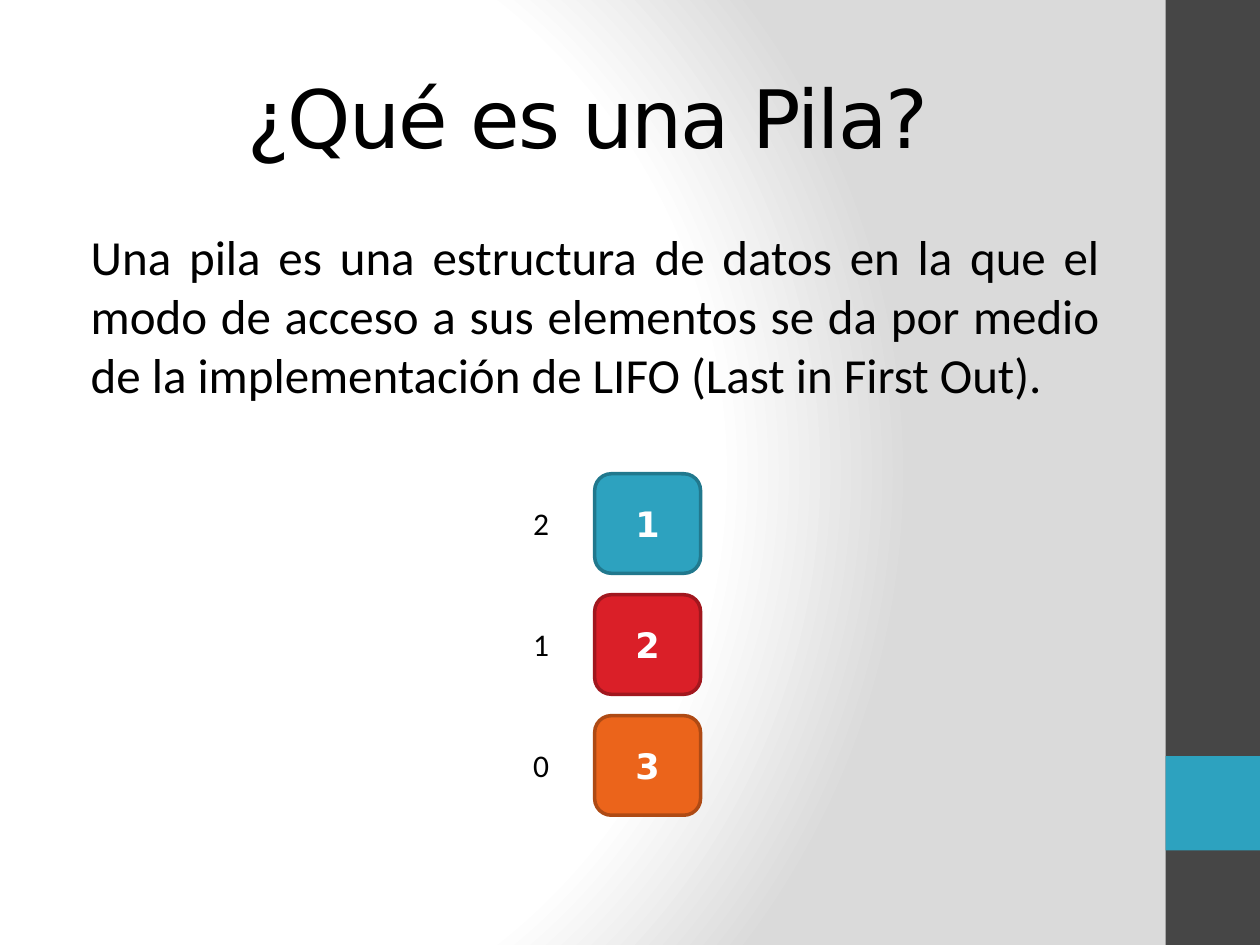
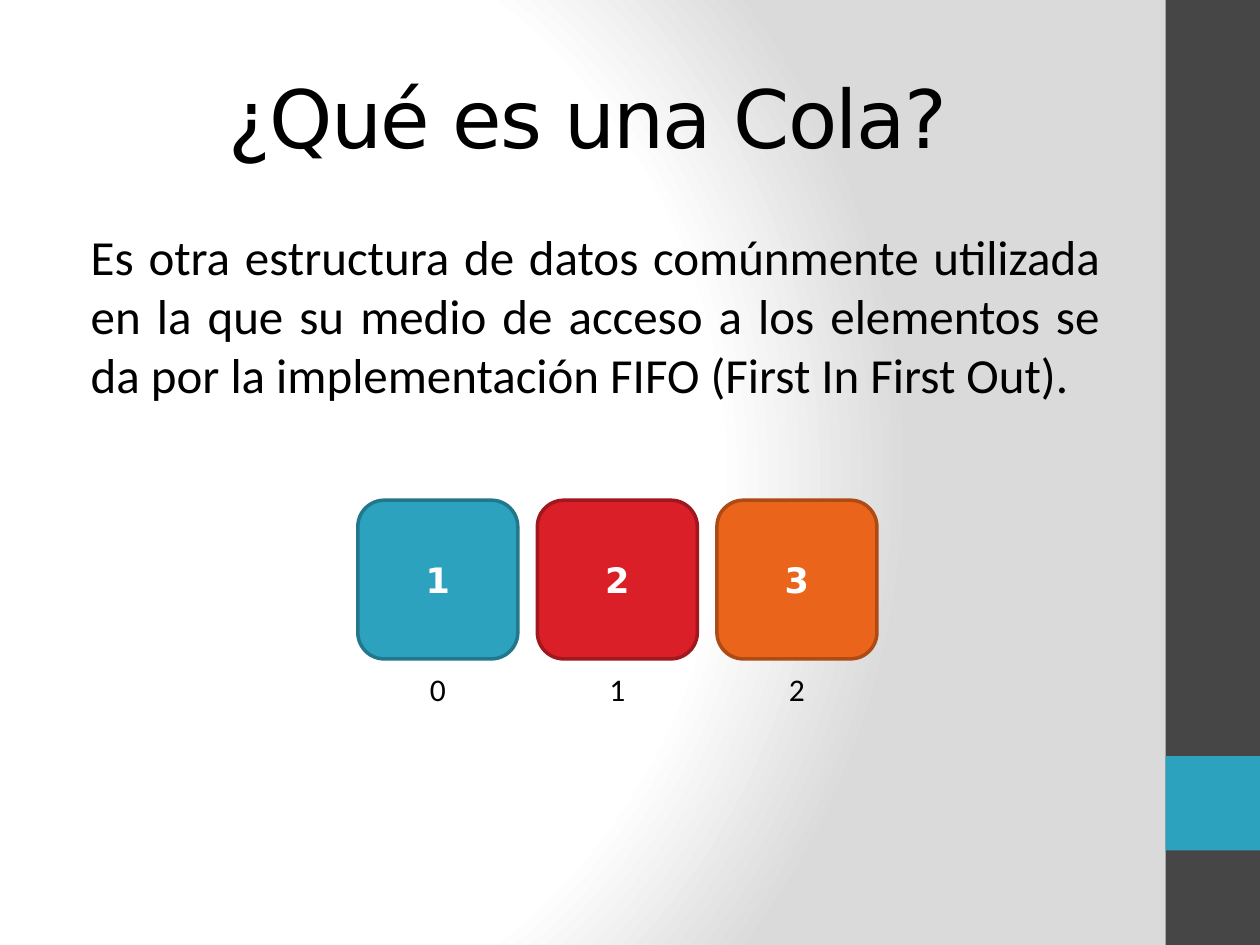
"""Two slides that introduce the stack and the queue."""
from pptx import Presentation
from pptx import util as u
from pptx.dml import color
from pptx.enum import shapes, text
from pptx.oxml import parse_xml
from pptx.oxml.ns import nsdecls, qn

HEADING_FONT, BODY_FONT = "DejaVu Sans", "Calibri"
BLACK, WHITE, SHADE = "000000", "FFFFFF", "DADADA"
DARK, TEAL = "464646", "2DA2BF"
# Value, fill and outline of each element.
ELEMENTS = [("1", TEAL, "21788D"), ("2", "DA1F28", "A1171E"), ("3", "EB641B", "AE4A14")]
TITLE_BOX = (0.5, 0.3, 8.33, 1.25)
BODY_BOX = (0.5, 1.75, 8.33, 0.98)
BANDS = [((9.25, 0, 0.75, 7.5), DARK), ((9.25, 6, 0.75, 0.75), TEAL)]
LABEL_W, LABEL_H = 0.87, 0.4


def rgb(hex_string):
    """Turn a hex string into a colour."""
    return color.RGBColor.from_string(hex_string)


def inches(box):
    """Turn left, top, width and height into lengths."""
    return [u.Inches(length) for length in box]


def write(frame, content, font, size, ink, align=text.PP_ALIGN.CENTER, bold=False):
    """Put one formatted paragraph in a text frame and return it."""
    frame.word_wrap = True
    frame.text = content
    paragraph = frame.paragraphs[0]
    paragraph.alignment = align
    style = paragraph.runs[0].font
    style.name, style.size, style.bold = font, u.Pt(size), bold
    style.color.rgb = rgb(ink)
    return paragraph


def add_block(slide, kind, box, fill, outline=None):
    """Add a filled shape, outlined if a line colour is given."""
    block = slide.shapes.add_shape(kind, *inches(box))
    block.shadow.inherit = False
    block.fill.solid()
    block.fill.fore_color.rgb = rgb(fill)
    if outline:
        block.line.color.rgb = rgb(outline)
        block.line.width = u.Pt(2)
    else:
        block.line.fill.background()
    return block


def style_master(master, slide):
    """Give the master its gradient background and its side bands."""
    master.background.fill.gradient()
    gradient = master.element.find(".//" + qn("a:gradFill"))
    stops = "".join(
        f'<a:gs pos="{percent * 1000}"><a:srgbClr val="{tint}"/></a:gs>'
        for percent, tint in [(0, WHITE), (75, WHITE), (100, SHADE)])
    gradient.getparent().replace(gradient, parse_xml(
        f'<a:gradFill rotWithShape="1" {nsdecls("a")}><a:gsLst>{stops}</a:gsLst>'
        '<a:path path="circle"><a:fillToRect l="20000" t="50000" r="100000" b="50000"/>'
        '</a:path></a:gradFill>'))
    # Bands are made on a slide, then moved behind the master's placeholders.
    for position, (box, fill) in enumerate(BANDS, start=2):
        band = add_block(slide, shapes.MSO_SHAPE.RECTANGLE, box, fill)
        master.shapes.element.insert(position, band.element)


def place(placeholder, box):
    """Move a placeholder to a box and return its text frame."""
    placeholder.left, placeholder.top, placeholder.width, placeholder.height = inches(box)
    placeholder.text_frame.auto_size = text.MSO_AUTO_SIZE.NONE
    return placeholder.text_frame


def fill_texts(slide, question, definition):
    """Write the title and the justified definition below it."""
    heading = place(slide.shapes.title, TITLE_BOX)
    heading.vertical_anchor = text.MSO_ANCHOR.MIDDLE
    title = write(heading, question, HEADING_FONT, 46, BLACK)
    title.runs[0].font._element.set("spc", "-100")

    body = place(slide.placeholders[1], BODY_BOX)
    paragraph = write(body, definition, BODY_FONT, 28, BLACK, text.PP_ALIGN.JUSTIFY)
    properties = paragraph._p.get_or_add_pPr()
    properties.set("marL", str(u.Inches(0.12)))
    properties.set("indent", "0")
    properties.append(parse_xml(f'<a:buNone {nsdecls("a")}/>'))


def add_element(slide, box, element):
    """Draw one element of the structure with its value."""
    value, fill, outline = element
    tile = add_block(slide, shapes.MSO_SHAPE.ROUNDED_RECTANGLE, box, fill, outline)
    tile.text_frame.vertical_anchor = text.MSO_ANCHOR.MIDDLE
    write(tile.text_frame, value, HEADING_FONT, 20, WHITE, bold=True)


def add_index(slide, left, top, index):
    """Write the index of one element."""
    label = slide.shapes.add_textbox(*inches((left, top, LABEL_W, LABEL_H)))
    write(label.text_frame, str(index), BODY_FONT, 18, BLACK)
    label.text_frame.auto_size = text.MSO_AUTO_SIZE.SHAPE_TO_FIT_TEXT


def draw_stack(slide, box):
    """Pile the elements up in a box, with falling indices on the left."""
    left, top, width, height = box
    tile_h = 0.79
    pitch = (height - tile_h) / (len(ELEMENTS) - 1)
    for row, element in enumerate(ELEMENTS):
        tile_top = top + row * pitch
        add_element(slide, (left, tile_top, width, tile_h), element)
        add_index(slide, left - LABEL_W + 0.01, tile_top + (tile_h - LABEL_H) / 2,
                  len(ELEMENTS) - 1 - row)


def draw_queue(slide, box):
    """Line the elements up in a box, with rising indices below."""
    left, top, width, height = box
    tile_w = 1.27
    pitch = (width - tile_w) / (len(ELEMENTS) - 1)
    for index, element in enumerate(ELEMENTS):
        tile_left = left + index * pitch
        add_element(slide, (tile_left, top, tile_w, height), element)
        add_index(slide, tile_left + (tile_w - LABEL_W) / 2, top + height + 0.04, index)


SLIDES = [
    ("¿Qué es una Pila?",
     "Una pila es una estructura de datos en la que el modo de acceso a sus elementos "
     "se da por medio de la implementación de LIFO (Last in First Out).",
     draw_stack, (4.72, 3.76, 0.84, 2.71)),
    ("¿Qué es una Cola?",
     "Es otra estructura de datos comúnmente utilizada en la que su medio de acceso a los "
     "elementos se da por la implementación FIFO (First In First Out).",
     draw_queue, (2.84, 3.97, 4.12, 1.26)),
]


def main():
    """Build both slides and save them."""
    prs = Presentation()
    prs.slide_width, prs.slide_height = u.Inches(10), u.Inches(7.5)
    for number, (question, definition, draw, box) in enumerate(SLIDES):
        slide = prs.slides.add_slide(prs.slide_layouts[1])
        if number == 0:
            style_master(prs.slide_master, slide)
        fill_texts(slide, question, definition)
        draw(slide, box)
    prs.save("out.pptx")


main()
